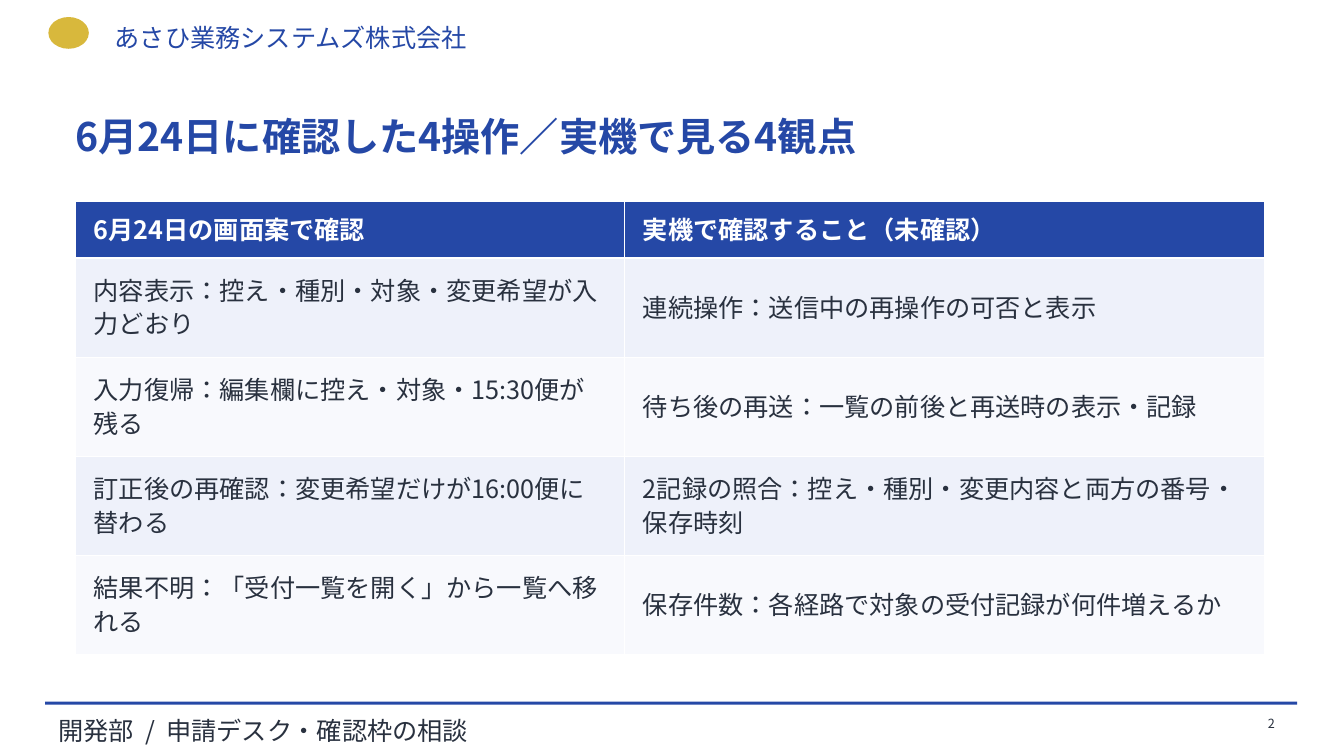
from lxml import etree
from pptx import Presentation
from pptx.dml.color import RGBColor
from pptx.enum.lang import MSO_LANGUAGE_ID as Language
from pptx.enum.shapes import MSO_SHAPE as Shape
from pptx.enum.text import MSO_ANCHOR as Anchor, MSO_AUTO_SIZE as AutoSize, PP_ALIGN as Align
from pptx.oxml.ns import qn
from pptx.util import Cm, Pt

FONT = "Noto Sans CJK JP"
BLUE, GOLD, INK, WHITE = "2548A6", "D8B83C", "29313F", "FFFFFF"
BANDS = ("EEF1FA", "F8F9FD")

NO_INSETS = dict.fromkeys(("margin_left", "margin_top", "margin_right", "margin_bottom"), 0)
GROWING = {"word_wrap": False, "auto_size": AutoSize.SHAPE_TO_FIT_TEXT}
TITLE_FRAME = {"word_wrap": True, "auto_size": AutoSize.NONE, "vertical_anchor": Anchor.MIDDLE,
               "margin_left": Cm(0.25), "margin_right": Cm(0.25),
               "margin_top": 0, "margin_bottom": 0}
NUMBER_FRAME = {**NO_INSETS, "word_wrap": True, "vertical_anchor": Anchor.MIDDLE}
CELL = {"vertical_anchor": Anchor.MIDDLE, "margin_left": Cm(0.46), "margin_right": Cm(0.46),
        "margin_top": Cm(0.18), "margin_bottom": Cm(0.18)}

COMPANY = "あさひ業務システムズ株式会社"
FOOTER = "開発部  /  申請デスク・確認枠の相談"
TITLE = "6月24日に確認した4操作／実機で見る4観点"
CHECKS = [
    ("6月24日の画面案で確認", "実機で確認すること（未確認）"),
    ("内容表示：控え・種別・対象・変更希望が入力どおり", "連続操作：送信中の再操作の可否と表示"),
    ("入力復帰：編集欄に控え・対象・15:30便が残る", "待ち後の再送：一覧の前後と再送時の表示・記録"),
    ("訂正後の再確認：変更希望だけが16:00便に替わる",
     "2記録の照合：控え・種別・変更内容と両方の番号・保存時刻"),
    ("結果不明：「受付一覧を開く」から一覧へ移れる", "保存件数：各経路で対象の受付記録が何件増えるか"),
]


def color(value):
    return RGBColor.from_string(value)


def apply(target, values):
    for name, value in values.items():
        setattr(target, name, value)


def write(frame, text, size, ink, bold=False, **paragraph_format):
    paragraph = frame.paragraphs[0]
    apply(paragraph, paragraph_format)
    run = paragraph.add_run()
    run.text = text
    apply(run.font, {"name": FONT, "size": Pt(size), "bold": bold,
                     "language_id": Language.JAPANESE})
    run.font.color.rgb = color(ink)
    latin = run.font._element.find(qn("a:latin"))
    east_asian = etree.Element(qn("a:ea"), typeface=FONT)
    latin.addnext(east_asian)


def add_block(slide, kind, fill, left, top, width, height):
    shape = slide.shapes.add_shape(kind, Cm(left), Cm(top), Cm(width), Cm(height))
    shape.shadow.inherit = False
    shape.fill.solid()
    shape.fill.fore_color.rgb = color(fill)
    shape.line.fill.background()


def add_text(slide, text, size, ink, frame_format, left, top, width, height, align=Align.LEFT):
    box = slide.shapes.add_textbox(Cm(left), Cm(top), Cm(width), Cm(height))
    apply(box.text_frame, frame_format)
    write(box.text_frame, text, size, ink, alignment=align)


def add_header(slide, left, top, width, height):
    # Plain emblem and company name
    add_block(slide, Shape.OVAL, GOLD, left + 0.2, top, 1.02, 0.8)
    add_text(slide, COMPANY, 18, BLUE, GROWING, left + 1.62, top, width - 1.62, height)


def add_title(slide, left, top, width, height):
    title = slide.shapes.title
    apply(title, {"left": Cm(left), "top": Cm(top), "width": Cm(width), "height": Cm(height)})
    apply(title.text_frame, TITLE_FRAME)
    write(title.text_frame, TITLE, 28, BLUE, bold=True, alignment=Align.LEFT)


def add_cell_borders(cell):
    properties = cell._tc.get_or_add_tcPr()
    for side in ("a:lnL", "a:lnR", "a:lnT", "a:lnB"):
        line = etree.SubElement(properties, qn(side), w=str(Pt(1)))
        fill = etree.SubElement(line, qn("a:solidFill"))
        etree.SubElement(fill, qn("a:srgbClr"), val=WHITE)


def add_check_table(slide, left, top, width, height, first_width=13.84, header_height=1.42):
    frame = slide.shapes.add_table(len(CHECKS), 2, Cm(left), Cm(top), Cm(width), Cm(height))
    table = frame.table
    for column, column_width in zip(table.columns, (first_width, width - first_width)):
        column.width = Cm(column_width)
    body_height = (height - header_height) / (len(CHECKS) - 1)
    for row_index, texts in enumerate(CHECKS):
        header = row_index == 0
        table.rows[row_index].height = Cm(header_height if header else body_height)
        for column_index, text in enumerate(texts):
            cell = table.cell(row_index, column_index)
            apply(cell, CELL)
            add_cell_borders(cell)
            cell.fill.solid()
            cell.fill.fore_color.rgb = color(BLUE if header else BANDS[(row_index - 1) % 2])
            write(cell.text_frame, text, 18, WHITE if header else INK, bold=header,
                  line_spacing=Pt(24))


def add_footer(slide, left, top, width, page):
    # Rule, department and page number
    add_block(slide, Shape.RECTANGLE, BLUE, left, top, width, 0.08)
    add_text(slide, FOOTER, 18, INK, GROWING, left + 0.08, top + 0.23, 25.4, 0.66)
    add_text(slide, page, 9, INK, NUMBER_FRAME, left + width - 2.08, top + 0.18, 1.52, 0.76,
             Align.RIGHT)


def main():
    presentation = Presentation()
    presentation.slide_width, presentation.slide_height = Cm(33.87), Cm(19.05)
    slide = presentation.slides.add_slide(presentation.slide_layouts[5])
    slide.background.fill.solid()
    slide.background.fill.fore_color.rgb = color(WHITE)

    add_header(slide, 1.02, 0.43, 19.4, 0.86)
    add_title(slide, 1.65, 2.16, 30.48, 2.54)
    add_check_table(slide, 1.9, 5.08, 29.97, 11.42)
    add_footer(slide, 1.14, 17.68, 31.55, "2")
    presentation.save("out.pptx")


if __name__ == "__main__":
    main()
